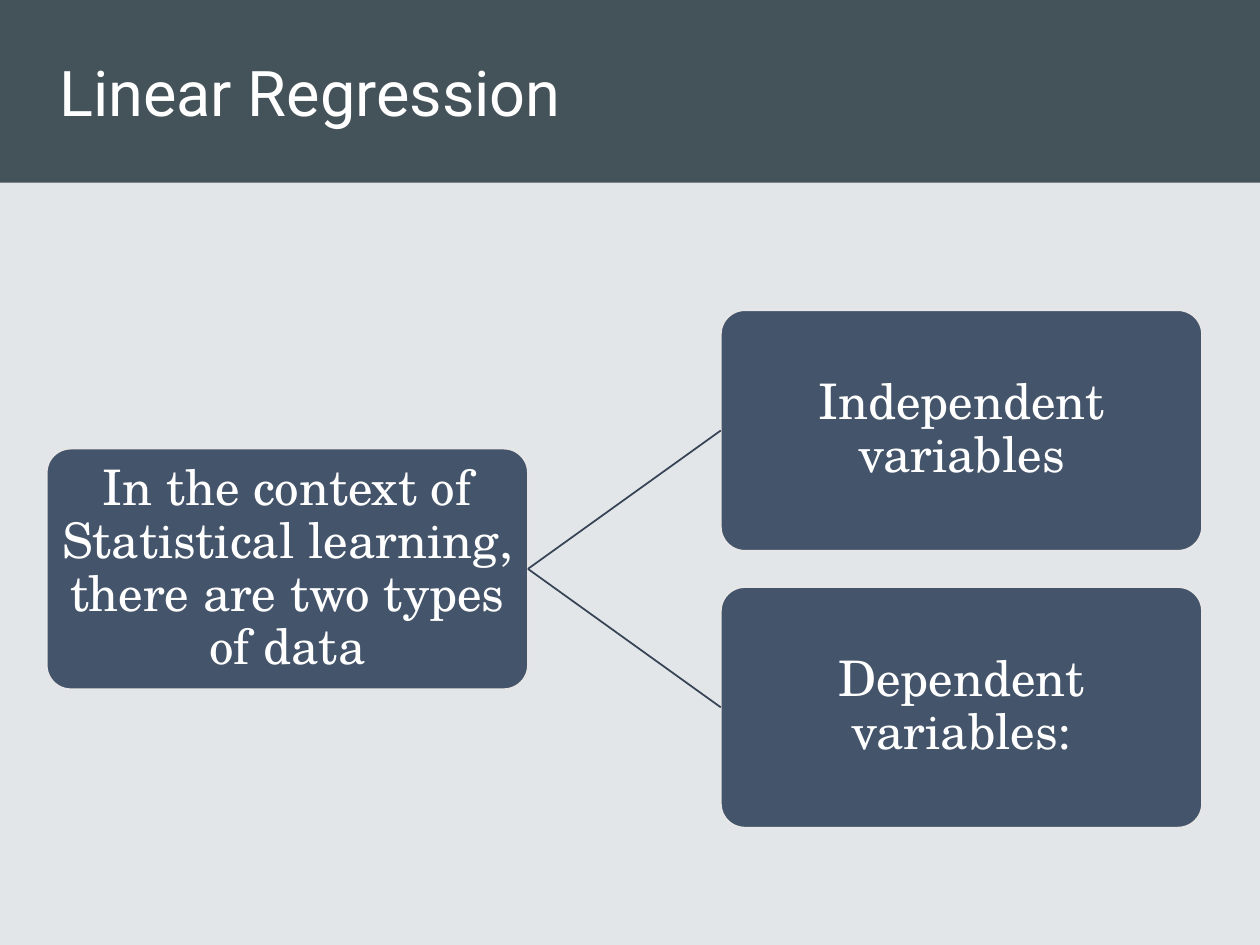
from pptx import Presentation
from pptx.dml.color import RGBColor
from pptx.enum.shapes import MSO_CONNECTOR, MSO_SHAPE
from pptx.enum.text import MSO_ANCHOR, PP_ALIGN
from pptx.oxml.ns import qn
from pptx.util import Pt
from lxml.etree import SubElement

TITLE = "Linear Regression"
ROOT = "In the context of Statistical learning, there are two types of data"
KINDS = ["Independent variables", "Dependent variables:"]

WIDE, HIGH, BAND = 720, 540, 104.4
LEFT, RIGHT, MID = 26.7, 411.9, 325.1
BOX_W, BOX_H, STEP = 275, 137.5, 158.2


def paint(form, shade):
    """Set a fill, line or font colour from a hex string."""
    if hasattr(form, "solid"):
        form.solid()
        form = form.fore_color
    else:
        form = form.color
    form.rgb = RGBColor.from_string(shade)


def write(frame, text, face, size):
    """Put white, vertically centred text in a frame."""
    frame.text = text
    frame.word_wrap = True
    frame.vertical_anchor = MSO_ANCHOR.MIDDLE
    para = frame.paragraphs[0]
    para.font.name, para.font.size = face, Pt(size)
    paint(para.font, "FFFFFF")
    return para


def add_box(slide, text, left, mid):
    """Add a rounded box centred on a height."""
    box = slide.shapes.add_shape(
        MSO_SHAPE.ROUNDED_RECTANGLE,
        Pt(left), Pt(mid - BOX_H / 2), Pt(BOX_W), Pt(BOX_H))
    box.adjustments[0] = 0.1
    box.shadow.inherit = False
    paint(box.fill, "44546A")
    paint(box.line, "E7E6E6")
    box.line.width = Pt(1)
    frame = box.text_frame
    frame.margin_left = frame.margin_right = Pt(1.4)
    frame.margin_top = frame.margin_bottom = Pt(1.4)
    para = write(frame, text, "TeX Gyre Schola", 28)
    para.alignment = PP_ALIGN.CENTER
    para.line_spacing = 0.9
    return box


def join(slide, start, end):
    """Link the right side of one box to the left side of another."""
    link = slide.shapes.add_connector(MSO_CONNECTOR.STRAIGHT, 0, 0, 0, 0)
    link.begin_connect(start, 3)
    link.end_connect(end, 1)
    paint(link.line, "364355")
    link.line.width = Pt(1)
    SubElement(link._element.spPr, qn("a:effectLst"))


def main():
    """Build the slide and save it."""
    deck = Presentation()
    deck.slide_width, deck.slide_height = Pt(WIDE), Pt(HIGH)
    slide = deck.slides.add_slide(deck.slide_layouts[5])
    paint(slide.background.fill, "E3E6E9")

    band = slide.shapes.add_shape(MSO_SHAPE.RECTANGLE, 0, 0, Pt(WIDE), Pt(BAND))
    band.shadow.inherit = False
    paint(band.fill, "44525A")
    band.line.fill.background()

    title = slide.shapes.title
    title.left, title.top = Pt(LEFT), Pt(0)
    title.width, title.height = Pt(RIGHT + BOX_W - LEFT), Pt(BAND)
    write(title.text_frame, TITLE, "Roboto", 36).alignment = PP_ALIGN.LEFT
    band._element.addnext(title._element)

    root = add_box(slide, ROOT, LEFT, MID)
    first = MID - STEP * (len(KINDS) - 1) / 2
    for row, kind in enumerate(KINDS):
        join(slide, root, add_box(slide, kind, RIGHT, first + row * STEP))
    deck.save("out.pptx")


if __name__ == "__main__":
    main()
